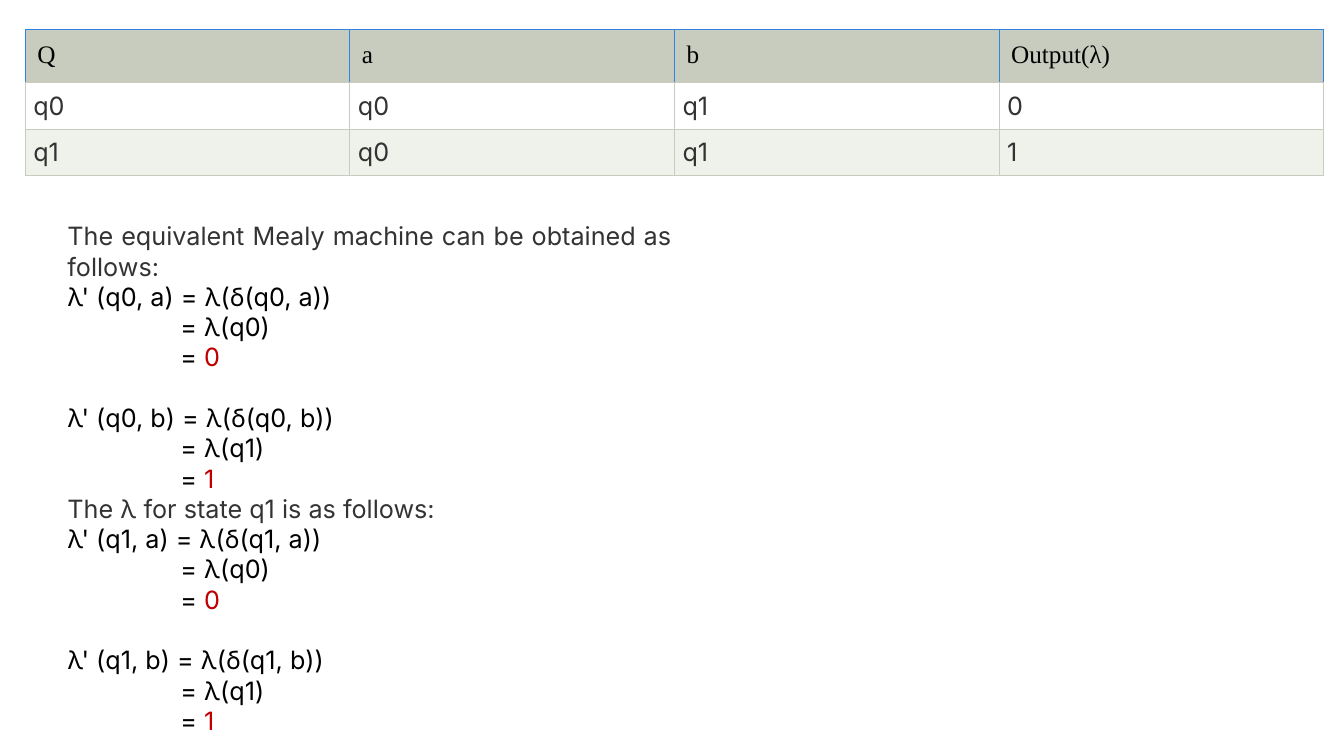
from lxml import etree
from pptx import Presentation
from pptx.dml.color import RGBColor
from pptx.enum.text import MSO_AUTO_SIZE, PP_ALIGN
from pptx.oxml.ns import qn
from pptx.util import Inches, Pt

JUSTIFY = PP_ALIGN.JUSTIFY
LEFT = PP_ALIGN.LEFT
GROW = MSO_AUTO_SIZE.SHAPE_TO_FIT_TEXT

COLORS = {
    "black": "000000",
    "text": "333333",
    "result": "C00000",
    "header": "C7CCBE",
    "header_edge": "3083E1",
    "grid": "C7CCBE",
    "white": "FFFFFF",
    "band": "EFF1EB",
}
HEADERS = ["Q", "a", "b", "Output(λ)"]
STATES = [["q0", "q0", "q1", "0"], ["q1", "q0", "q1", "1"]]
SECTIONS = [
    ("The equivalent Mealy machine can be obtained as follows:", "q0"),
    ("The λ for state q1 is as follows:", "q1"),
]
TRANSITIONS = [("a", "q0", "0"), ("b", "q1", "1")]
LINE_HEIGHT = Pt(21.8)
EQUALS_INDENT = Inches(1.12)


def rgb(name):
    return RGBColor.from_string(COLORS[name])


def add_run(p, text, color="black", font="Inter", size=18):
    r = p.add_run()
    r.text = text
    r.font.name = font
    r.font.size = Pt(size)
    r.font.color.rgb = rgb(color)


class SlideBuilder:
    def __init__(self, slide):
        self.slide = slide

    def cell(self, cell, text, fill, edge, inset, align=JUSTIFY, **style):
        """Fill one cell; edge colours its left, right and top sides."""
        cell.fill.solid()
        cell.fill.fore_color.rgb = rgb(fill)
        cell.margin_left = cell.margin_right = Inches(inset)
        cell.margin_top = cell.margin_bottom = Inches(inset)
        p = cell.text_frame.paragraphs[0]
        p.alignment = align
        add_run(p, text, **style)
        tc_pr = cell._tc.get_or_add_tcPr()
        sides = {"lnL": edge, "lnR": edge, "lnT": edge, "lnB": "grid"}
        for i, (side, color) in enumerate(sides.items()):
            ln = etree.Element(qn(f"a:{side}"), w=str(Pt(0.75)))
            solid = etree.SubElement(ln, qn("a:solidFill"))
            etree.SubElement(solid, qn("a:srgbClr"), val=COLORS[color])
            tc_pr.insert(i, ln)

    def table(self, left, top, col_width, row_heights):
        shape = self.slide.shapes.add_table(
            len(row_heights), len(HEADERS), Inches(left), Inches(top),
            Inches(col_width * len(HEADERS)), Inches(sum(row_heights)))
        table = shape.table
        for col in table.columns:
            col.width = Inches(col_width)
        for row, height in zip(table.rows, row_heights):
            row.height = Inches(height)
        for c, text in enumerate(HEADERS):
            self.cell(table.cell(0, c), text, "header", "header_edge", 0.12,
                      align=LEFT, font="Times New Roman")
        for r, values in enumerate(STATES, 1):
            fill = "white" if r % 2 else "band"
            for c, text in enumerate(values):
                self.cell(table.cell(r, c), text, fill, "grid", 0.08,
                          color="text")

    def text_box(self, left, top, width, height):
        sp = self.slide.shapes.add_textbox(
            Inches(left), Inches(top), Inches(width), Inches(height))
        tf = sp.text_frame
        tf.word_wrap = True
        tf.auto_size = GROW
        return tf

    def paragraph(self, tf, *runs, indent=0, before=0):
        """Add a justified paragraph from (text, colour) pairs."""
        p = tf.paragraphs[0]
        if p.runs:
            p = tf.add_paragraph()
        p.alignment = JUSTIFY
        p.space_before = before
        if indent:
            p._p.get_or_add_pPr().set("marL", str(indent))
        for text, color in runs:
            add_run(p, text, color=color)

    def derivation(self, tf, state, symbol, target, output, before):
        """Write the three lines that give one Mealy output."""
        self.paragraph(
            tf, (f"λ' ({state}, {symbol}) = λ(δ({state}, {symbol}))", "black"),
            before=before)
        self.paragraph(tf, (f"= λ({target})", "black"), indent=EQUALS_INDENT)
        self.paragraph(tf, ("= ", "black"), (output, "result"),
                       indent=EQUALS_INDENT)


def main():
    prs = Presentation()
    prs.slide_width = Inches(13.33)
    prs.slide_height = Inches(7.5)
    s = SlideBuilder(prs.slides.add_slide(prs.slide_layouts[6]))

    s.table(0.25, 0.29, 3.22, [0.53, 0.45, 0.45])
    tf = s.text_box(0.57, 2.14, 6.19, 4.95)
    for intro, state in SECTIONS:
        s.paragraph(tf, (intro, "text"))
        for i, (symbol, target, output) in enumerate(TRANSITIONS):
            s.derivation(tf, state, symbol, target, output,
                         before=LINE_HEIGHT if i else 0)

    prs.save("out.pptx")


if __name__ == "__main__":
    main()
